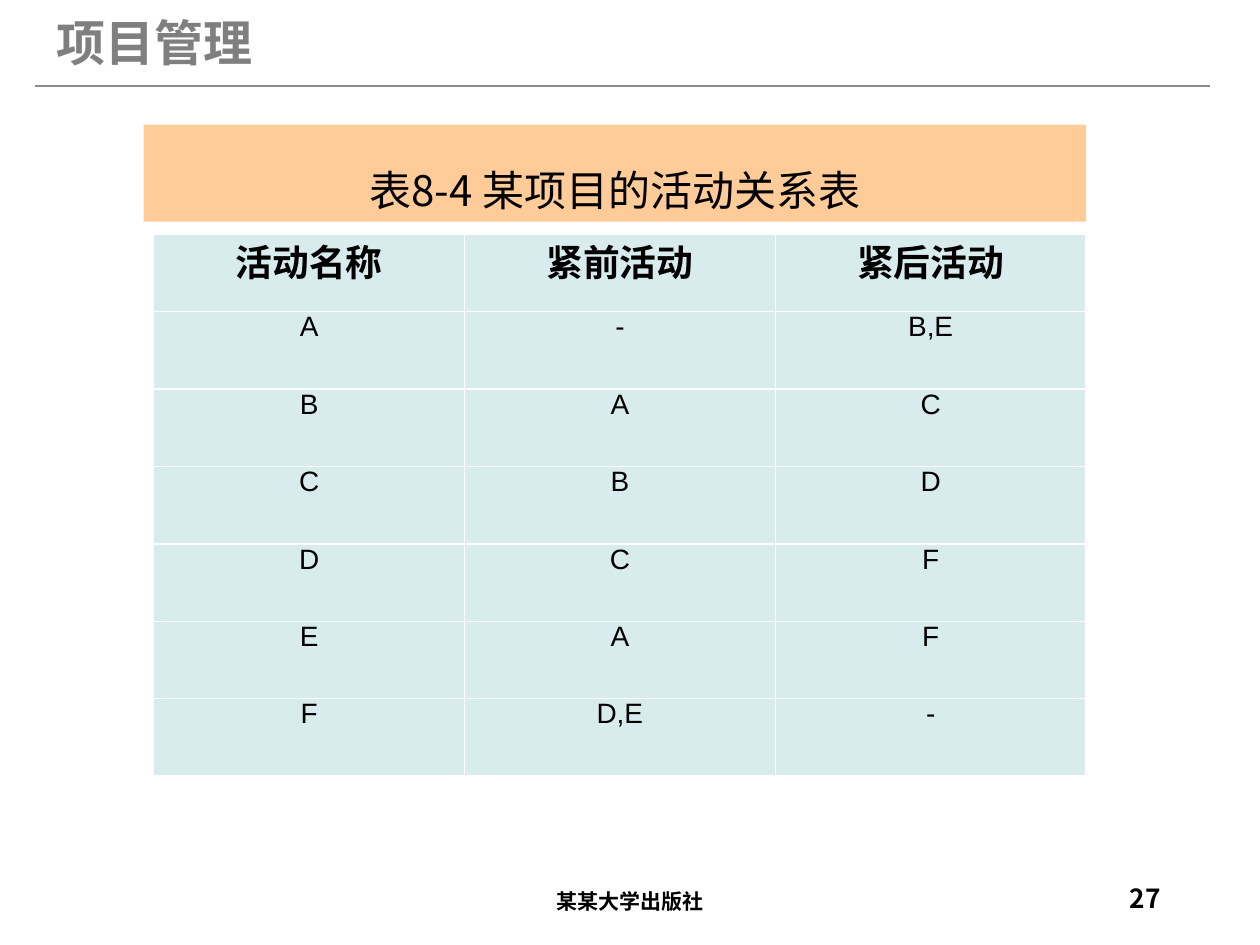
"""Build the project activity table slide."""
from lxml.etree import SubElement
from pptx import Presentation
from pptx.dml.color import RGBColor
from pptx.enum.shapes import MSO_CONNECTOR, MSO_SHAPE
from pptx.enum.text import MSO_ANCHOR, PP_ALIGN
from pptx.oxml.ns import qn
from pptx.util import Inches, Pt

LEFT, CENTER, RIGHT = PP_ALIGN.LEFT, PP_ALIGN.CENTER, PP_ALIGN.RIGHT
TOP, MIDDLE, BOTTOM = MSO_ANCHOR.TOP, MSO_ANCHOR.MIDDLE, MSO_ANCHOR.BOTTOM
STRAIGHT, RECT = MSO_CONNECTOR.STRAIGHT, MSO_SHAPE.RECTANGLE
HAN, LATIN = "Noto Sans CJK SC", "Arial"
COLORS = {"ink": "000000", "head": "7F7F7F", "rule": "8C8C8C",
          "band": "FFCC99", "cell": "D8ECED", "edge": "FFFFFF"}
ROWS = [
    ("活动名称", "紧前活动", "紧后活动"),
    ("A", "-", "B,E"),
    ("B", "A", "C"),
    ("C", "B", "D"),
    ("D", "C", "F"),
    ("E", "A", "F"),
    ("F", "D,E", "-"),
]


def color(name):
    return RGBColor.from_string(COLORS[name])


def write(frame, text, size, face=HAN, bold=False, ink="ink", align=CENTER, space=1.0):
    frame.text = text
    para = frame.paragraphs[0]
    para.alignment, para.line_spacing = align, space
    font = para.font
    font.name, font.size, font.bold = face, Pt(size), bold
    font.color.rgb = color(ink)
    base = para._p.pPr.find(qn("a:defRPr"))
    SubElement(base, qn("a:ea"), typeface=face)


deck = Presentation()
deck.slide_width, deck.slide_height = Inches(10), Inches(7.5)
slide = deck.slides.add_slide(deck.slide_layouts[6])
shapes = slide.shapes

rule = shapes.add_connector(STRAIGHT, Inches(0.28), Inches(0.68), Inches(9.6), Inches(0.68))
rule.line.color.rgb = color("rule")
rule.line.width = Pt(1)
SubElement(rule._element.spPr, qn("a:effectLst"))

band = shapes.add_shape(RECT, Inches(1.14), Inches(0.99), Inches(7.48), Inches(0.77))
band.shadow.inherit = False
band.fill.solid()
band.fill.fore_color.rgb = color("band")
band.line.fill.background()
band.text_frame.vertical_anchor = BOTTOM
write(band.text_frame, "表8-4 某项目的活动关系表", 24, space=0.9)

grid = shapes.add_table(len(ROWS), 3, Inches(1.22), Inches(1.86), Inches(7.4), Inches(4.3)).table
for r, row in enumerate(ROWS):
    for c, text in enumerate(row):
        cell = grid.cell(r, c)
        cell.margin_left = cell.margin_right = Inches(0.08)
        cell.margin_top = cell.margin_bottom = 0
        cell.vertical_anchor = TOP
        props = cell._tc.get_or_add_tcPr()
        for side in ("lnL", "lnR", "lnT", "lnB"):
            edge = SubElement(props, qn(f"a:{side}"), w=str(Pt(1)))
            fill = SubElement(edge, qn("a:solidFill"))
            SubElement(fill, qn("a:srgbClr"), val=COLORS["edge"])
        cell.fill.solid()
        cell.fill.fore_color.rgb = color("cell")
        head = r == 0
        write(cell.text_frame, text, 21 if head else 16, HAN if head else LATIN, head)

LABELS = [
    ("项目管理", (0.35, 0.05, 1.77, 0.57), 28, "head", LEFT, TOP, False, 1.0),
    ("某某大学出版社", (3.31, 6.95, 3.38, 0.4), 12, "ink", CENTER, MIDDLE, True, 1.0),
    ("27", (7.06, 6.95, 2.25, 0.4), 15, "ink", RIGHT, MIDDLE, True, 0.8),
]
for text, place, size, ink, align, anchor, wrap, space in LABELS:
    frame = shapes.add_textbox(*map(Inches, place)).text_frame
    frame.word_wrap, frame.vertical_anchor = wrap, anchor
    write(frame, text, size, bold=True, ink=ink, align=align, space=space)

deck.save("out.pptx")
